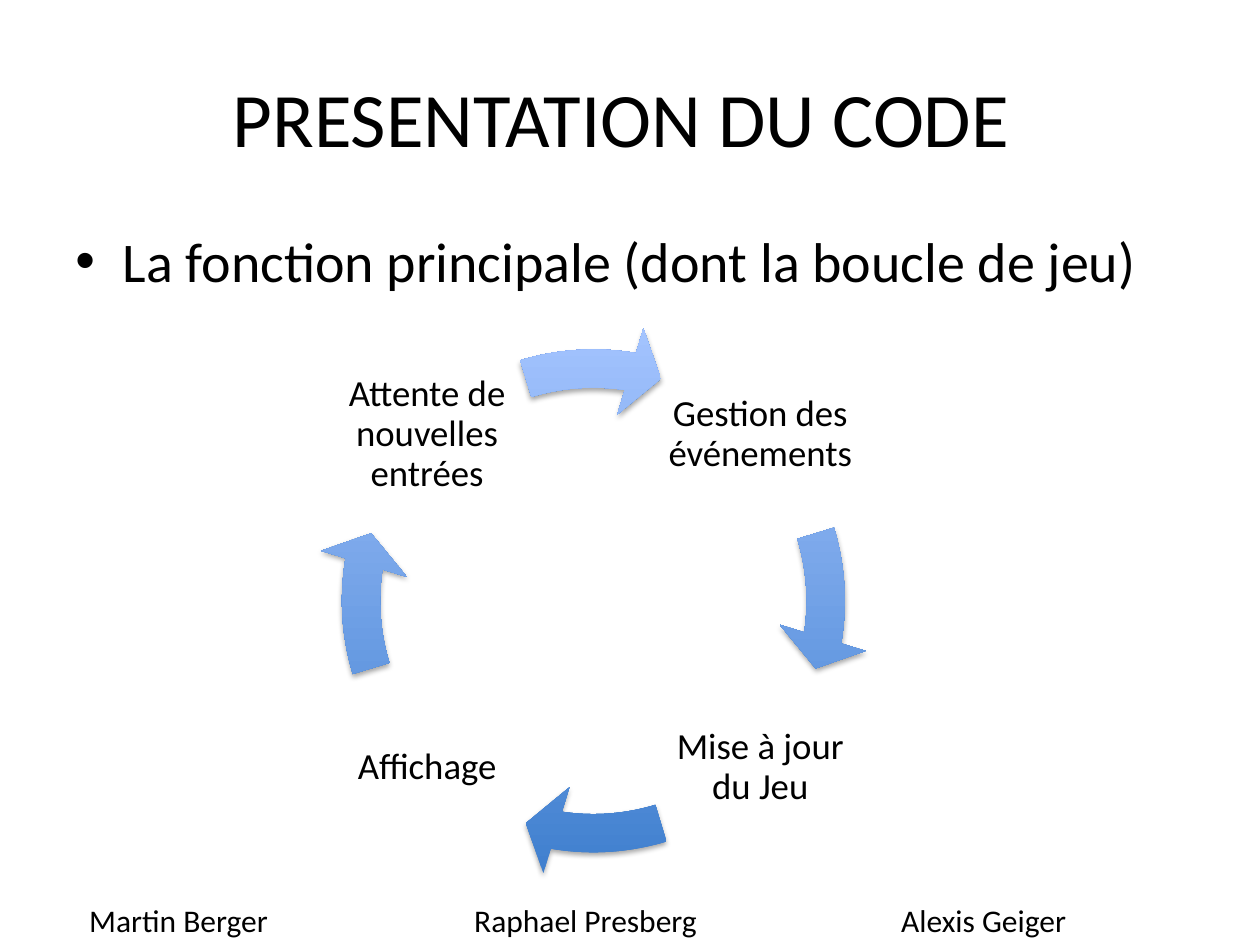
from lxml import etree
from pptx import Presentation
from pptx.dml.color import RGBColor
from pptx.enum import shapes, text
from pptx.oxml import ns
from pptx.util import Pt

BLACK = RGBColor(0x00, 0x00, 0x00)
DARK = RGBColor(0x3F, 0x7F, 0xCE)
LIGHT = RGBColor(0xA4, 0xC4, 0xFF)
FONT = "Calibri"

TITLE = "PRESENTATION DU CODE "
POINT = "La fonction principale (dont la boucle de jeu)"
STEPS = [
    ("Gestion des événements", 1, 0),
    ("Mise à jour du Jeu", 1, 1),
    ("Affichage", 0, 1),
    ("Attente de nouvelles entrées", 0, 0),
]
NAMES = ["Martin Berger", "Raphael Presberg", "Alexis Geiger"]
TABS = [220, 464]

LEFT, TOP, SIDE, PITCH = 187.9, 192.2, 112.3, 190.4
RING = (180.7, 185, 316.8, 316.8)
TURN = 216
QUARTER = TURN / 4


def add(node, tag, **attrs):
    return etree.SubElement(node, ns.qn(tag), attrs)


def add_text(slide, box, words, size, align=text.PP_ALIGN.LEFT,
             anchor=text.MSO_ANCHOR.TOP):
    frame = slide.shapes.add_textbox(*map(Pt, box)).text_frame
    frame.word_wrap = True
    frame.vertical_anchor = anchor
    frame.text = words
    para = frame.paragraphs[0]
    para.alignment = align
    for run in para.runs:
        run.font.name = FONT
        run.font.size = Pt(size)
        run.font.color.rgb = BLACK
    return frame


def add_label(slide, words, col, row):
    box = (LEFT + col * PITCH, TOP + row * PITCH, SIDE, SIDE)
    frame = add_text(slide, box, words, 21, text.PP_ALIGN.CENTER,
                     text.MSO_ANCHOR.MIDDLE)
    frame.margin_left = frame.margin_right = Pt(2.1)
    frame.margin_top = frame.margin_bottom = Pt(2.1)
    frame.paragraphs[0].line_spacing = 0.9


def add_shadow(shape):
    shape.shadow.inherit = False
    effects = shape._element.spPr.find(ns.qn("a:effectLst"))
    outer = add(effects, "a:outerShdw", blurRad=str(Pt(3.1)),
                dist=str(Pt(1.8)), dir="5400000", rotWithShape="0")
    color = add(outer, "a:srgbClr", val=str(BLACK))
    add(color, "a:alpha", val="35000")


def add_arrow(slide, step):
    arrow = slide.shapes.add_shape(shapes.MSO_SHAPE.CIRCULAR_ARROW,
                                   *map(Pt, RING))
    shift = step * QUARTER
    values = (0.069, 4.653, 5.495 + shift, (205.852 + shift) % TURN, 0.081)
    for index, value in enumerate(values):
        arrow.adjustments[index] = value
    arrow.fill.gradient()
    arrow.fill.gradient_angle = 90
    for stop, color in zip(arrow.fill.gradient_stops, (DARK, LIGHT)):
        stop.color.rgb = color
    arrow.line.fill.background()
    add_shadow(arrow)


def main():
    deck = Presentation()
    deck.slide_width, deck.slide_height = Pt(720), Pt(540)
    slide = deck.slides.add_slide(deck.slide_layouts[6])

    add_text(slide, (36, 21.6, 648, 90), TITLE, 44,
             text.PP_ALIGN.CENTER, text.MSO_ANCHOR.MIDDLE)

    body = add_text(slide, (36, 126, 648, 356.4), POINT, 32)
    props = body.paragraphs[0]._p.get_or_add_pPr()
    props.set("marL", str(Pt(27)))
    props.set("indent", str(Pt(-27)))
    add(props, "a:buFont", typeface="Arial")
    add(props, "a:buChar", char="•")

    for step, (words, col, row) in enumerate(STEPS):
        add_label(slide, words, col, row)
        add_arrow(slide, step)

    foot = add_text(slide, (43.9, 511.2, 792, 28.8), "\t".join(NAMES), 18)
    stops = add(foot.paragraphs[0]._p.get_or_add_pPr(), "a:tabLst")
    for place in TABS:
        add(stops, "a:tab", pos=str(Pt(place)), algn="l")

    deck.save("out.pptx")


if __name__ == "__main__":
    main()
